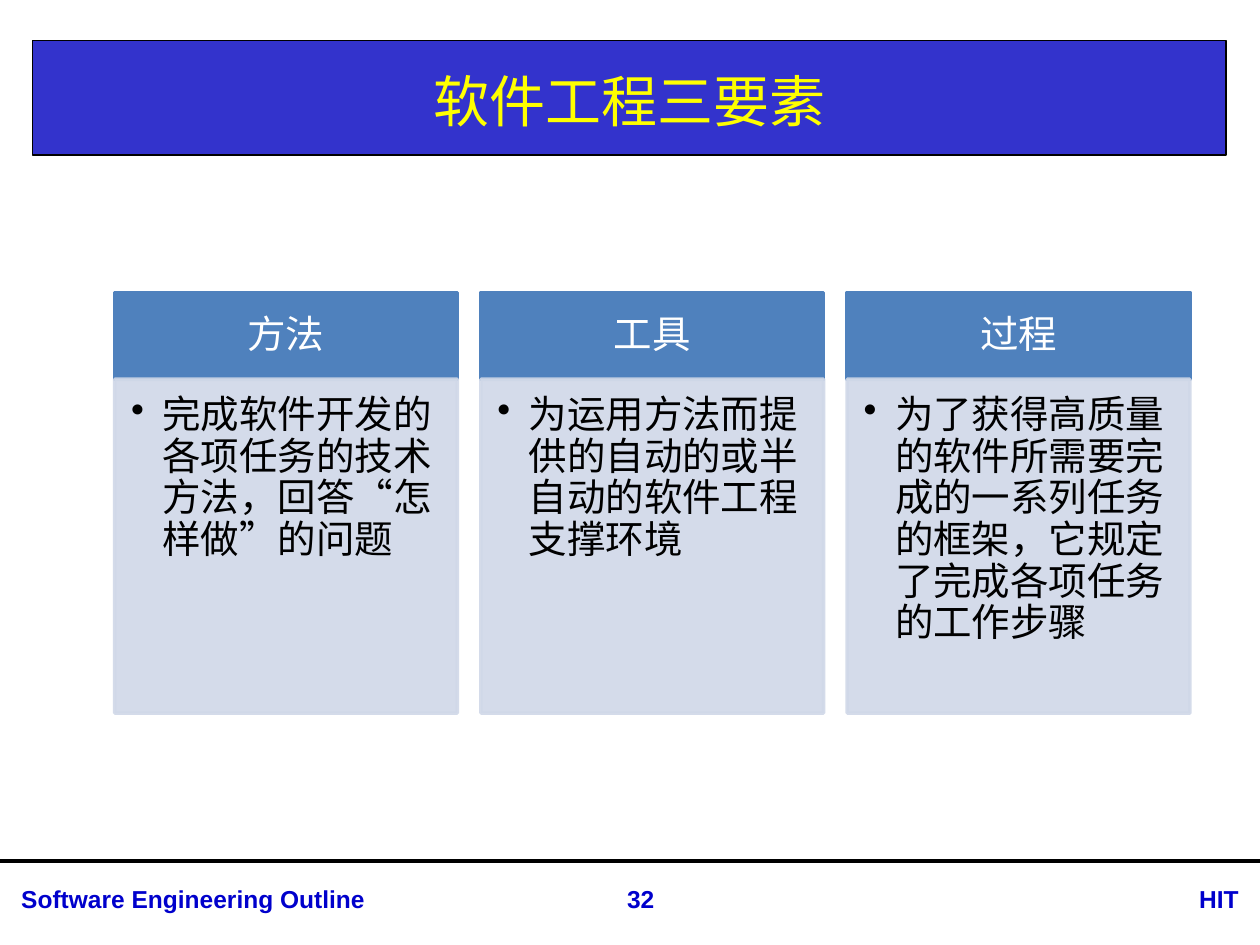
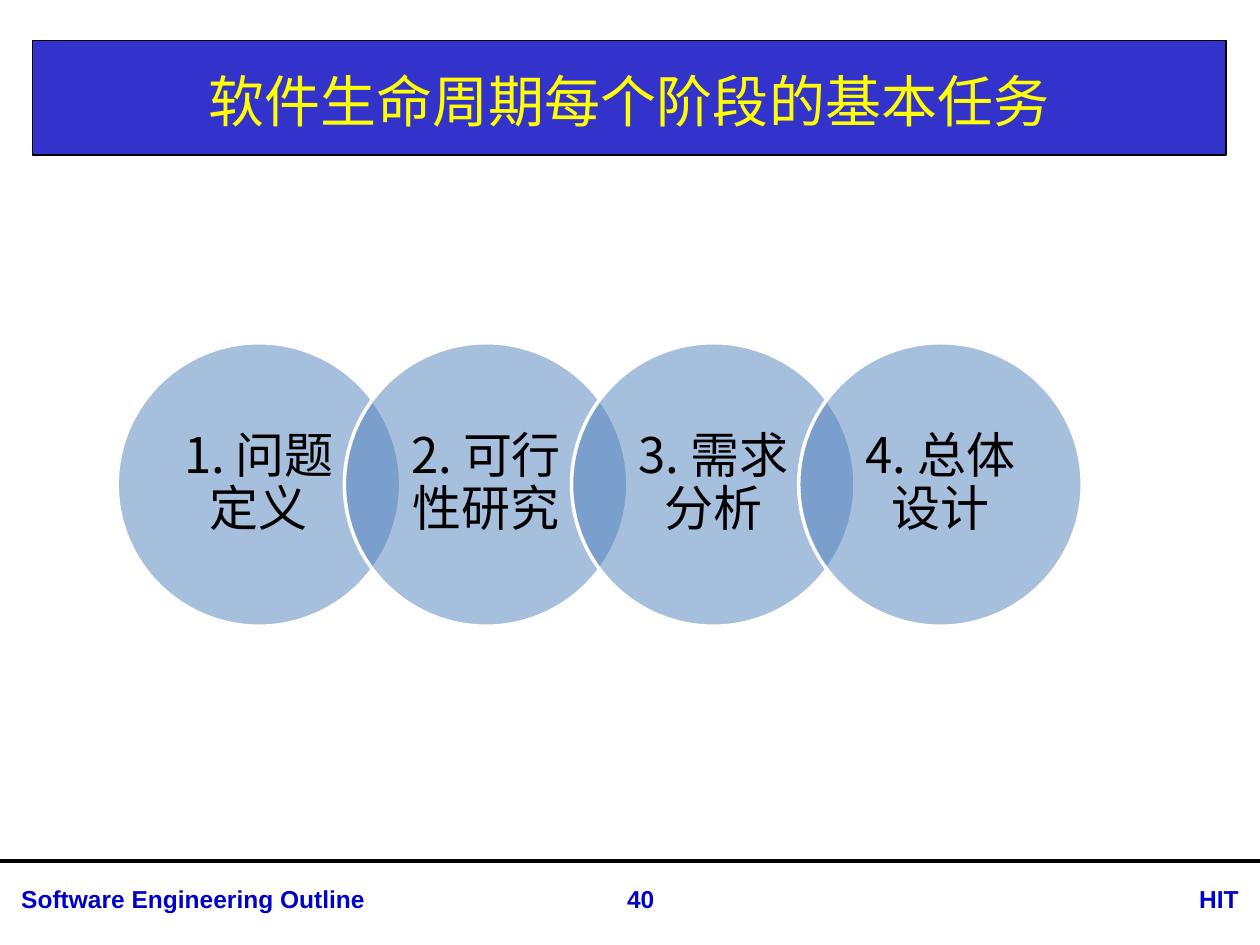
from lxml.etree import SubElement
from pptx import Presentation
from pptx.dml.color import RGBColor
from pptx.enum.lang import MSO_LANGUAGE_ID
from pptx.enum.shapes import MSO_CONNECTOR, MSO_SHAPE
from pptx.enum.text import MSO_ANCHOR, PP_ALIGN
from pptx.oxml.ns import qn
from pptx.util import Inches, Pt

# Colours and fonts
BLACK = RGBColor(0x00, 0x00, 0x00)
WHITE = RGBColor(0xFF, 0xFF, 0xFF)
YELLOW = RGBColor(0xFF, 0xFF, 0x00)
BAND_BLUE = RGBColor(0x33, 0x33, 0xCC)
FOOTER_BLUE = RGBColor(0x00, 0x00, 0xCC)
STEEL_BLUE = RGBColor(0x4F, 0x81, 0xBD)
PALE_BLUE = RGBColor(0xD0, 0xD8, 0xE8)
LATIN_FONT = "Arial"
CHINESE_FONT = "Noto Sans CJK SC"

# Grid: square cells over the whole slide
COLUMNS, ROWS = 100, 75
WIDTH, HEIGHT = Inches(10), Inches(7.5)
CELL = WIDTH // COLUMNS
DEFAULT_INSETS = (1, 0.5, 1, 0.5)

ELEMENTS = [
    ("方法", "完成软件开发的各项任务的技术方法，回答“怎样做”的问题"),
    ("工具", "为运用方法而提供的自动的或半自动的软件工程支撑环境"),
    ("过程", "为了获得高质量的软件所需要完成的一系列任务的框架，它规定了完成各项任务的工作步骤"),
]
PHASES = ["1. 问题定义", "2. 可行性研究", "3. 需求分析", "4. 总体设计"]


def cells(*counts):
    return [round(count * CELL) for count in counts]


class Deck:
    def __init__(self):
        self.presentation = Presentation()
        self.presentation.slide_width = WIDTH
        self.presentation.slide_height = HEIGHT
        self.slide = None

    def start_slide(self, title, number):
        """Add a slide with its title band, rule and footer."""
        self.slide = self.presentation.slides.add_slide(self.presentation.slide_layouts[6])
        band = self.shape(MSO_SHAPE.RECTANGLE, (2.6, 3.2, 94.7, 9.1), BAND_BLUE, BLACK, 0.75)
        self.text(band, title, 32, YELLOW, insets=(1, 0.9, 1, 0.5))
        self.rule(68.3)
        self.footer("Software Engineering Outline", 0.7, 38.5, PP_ALIGN.LEFT)
        self.footer("HIT", 89, 10.3, PP_ALIGN.RIGHT)
        self.footer(str(number), 45.7, 10.3, PP_ALIGN.CENTER)

    def shape(self, kind, box, fill, line, line_width=2):
        shape = self.slide.shapes.add_shape(kind, *cells(*box))
        shape.shadow.inherit = False
        shape.fill.solid()
        shape.fill.fore_color.rgb = fill
        shape.line.color.rgb = line
        shape.line.width = Pt(line_width)
        return shape

    def opacity(self, shape, percent, with_line=False):
        steps = ".//a:srgbClr" if with_line else "a:solidFill/a:srgbClr"
        for colour in shape._element.spPr.xpath(steps):
            SubElement(colour, qn("a:alpha"), val=str(percent * 1000))

    def rule(self, row):
        left, right, top = cells(0, COLUMNS, row)
        rule = self.slide.shapes.add_connector(MSO_CONNECTOR.STRAIGHT, left, top, right, top)
        rule.line.color.rgb = BLACK
        rule.line.width = Pt(2.25)
        SubElement(rule._element.spPr, qn("a:effectLst"))

    def footer(self, words, left, width, align):
        box = self.slide.shapes.add_textbox(*cells(left, 69.7, width, 3.4))
        self.text(box, words, 14, FOOTER_BLUE, align, MSO_ANCHOR.TOP, font=LATIN_FONT, bold=True)

    def text(self, shape, words, size, colour, align=PP_ALIGN.CENTER,
             anchor=MSO_ANCHOR.MIDDLE, insets=DEFAULT_INSETS, spacing=None,
             font=CHINESE_FONT, bold=False, bullet=False):
        frame = shape.text_frame
        frame.word_wrap = True
        frame.vertical_anchor = anchor
        (frame.margin_left, frame.margin_top,
         frame.margin_right, frame.margin_bottom) = cells(*insets)
        paragraph = frame.paragraphs[0]
        if bullet:
            self.bullet(paragraph)
        paragraph.alignment = align
        if spacing:
            paragraph.line_spacing = spacing
        run = paragraph.add_run()
        run.text = words
        run.font.size = Pt(size)
        run.font.bold = bold
        run.font.color.rgb = colour
        run.font.name = font
        if font == CHINESE_FONT:
            run.font.language_id = MSO_LANGUAGE_ID.SIMPLIFIED_CHINESE
            SubElement(run.font._element, qn("a:ea"), typeface=font)

    def bullet(self, paragraph):
        properties = paragraph._p.get_or_add_pPr()
        indent = Inches(0.25)
        properties.set("marL", str(indent))
        properties.set("indent", str(-indent))
        SubElement(properties, qn("a:buChar"), char="•")

    def card(self, left, heading, description):
        width, top, head_height, body_height = 27.2, 23.2, 6.9, 26.5
        head = self.shape(MSO_SHAPE.RECTANGLE, (left, top, width, head_height),
                          STEEL_BLUE, STEEL_BLUE)
        self.text(head, heading, 22, WHITE, insets=(1.7, 1, 1.7, 1), spacing=0.9)
        body = self.shape(MSO_SHAPE.RECTANGLE, (left, top + head_height, width, body_height),
                          PALE_BLUE, PALE_BLUE)
        self.opacity(body, 90, with_line=True)
        self.text(body, description, 22, BLACK, PP_ALIGN.LEFT, MSO_ANCHOR.TOP,
                  insets=(1.3, 1.3, 1.7, 1.9), spacing=0.9, bullet=True)

    def circle(self, left, words):
        circle = self.shape(MSO_SHAPE.OVAL, (left, 27.2, 22.5, 22.5), STEEL_BLUE, WHITE)
        self.opacity(circle, 50)
        self.text(circle, words, 28, BLACK, insets=(1.2, 0.4, 1.2, 0.4), spacing=0.9)


def main():
    deck = Deck()

    # Three elements as cards
    deck.start_slide("软件工程三要素", 32)
    for index, (heading, description) in enumerate(ELEMENTS):
        deck.card(9.1 + index * 29.07, heading, description)

    # Life cycle phases as overlapping circles
    deck.start_slide("软件生命周期每个阶段的基本任务", 40)
    for index, phase in enumerate(PHASES):
        deck.circle(9.3 + index * 18.03, phase)

    deck.presentation.save("out.pptx")


if __name__ == "__main__":
    main()
